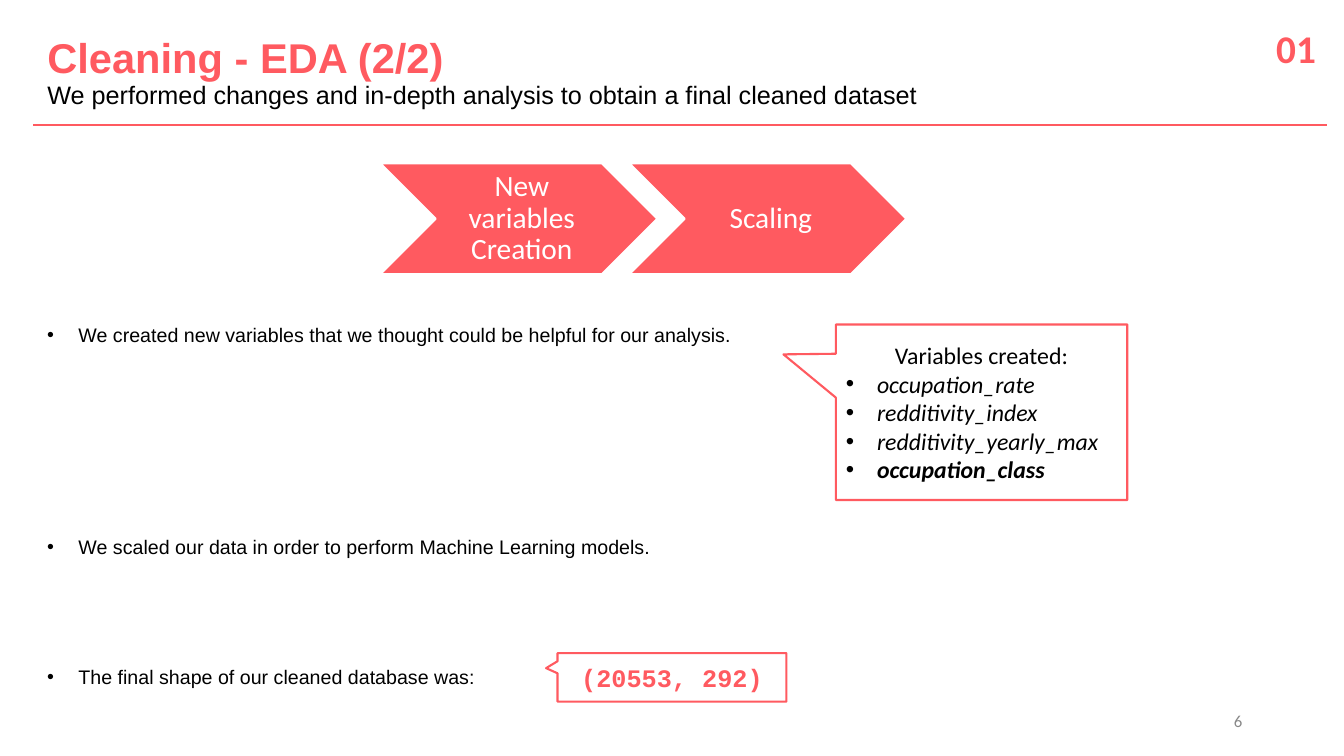
from lxml import etree
from pptx import Presentation
from pptx.dml.color import RGBColor
from pptx.enum.shapes import MSO_CONNECTOR, MSO_SHAPE
from pptx.enum.text import MSO_ANCHOR, MSO_AUTO_SIZE, PP_ALIGN
from pptx.oxml.ns import qn
from pptx.util import Inches, Pt

# Content
TITLE = "Cleaning - EDA (2/2)"
SUBTITLE = "We performed changes and in-depth analysis to obtain a final cleaned dataset"
SECTION = "01"
PAGE = "6"
STEPS = ["New variables Creation", "Scaling"]
FINDINGS = [  # text, space before in points
    ("We created new variables that we thought could be helpful for our analysis.", 0),
    ("We scaled our data in order to perform Machine Learning models.", 135),
    ("The final shape of our cleaned database was:", 76),
]
FINAL_SHAPE = "(20553, 292)"
VARIABLES_HEADING = "Variables created:"
VARIABLES = [  # name, bold
    ("occupation_rate", False),
    ("redditivity_index", False),
    ("redditivity_yearly_max", False),
    ("occupation_class", True),
]

CORAL, BLACK, WHITE, GREY = "FF5A60", "000000", "FFFFFF", "888888"
BULLET_INDENT = Inches(0.31)


def color(hex_code):
    return RGBColor.from_string(hex_code)


def write(frame, text, size=14, font="Calibri", hue=BLACK, bold=False, italic=False,
          align=PP_ALIGN.LEFT, spacing=1.0, before=0, bullet=False, same_paragraph=False):
    """Add text as a new paragraph, or after a line break in the last one."""
    paragraph = frame.paragraphs[-1]
    if same_paragraph:
        paragraph.add_line_break()
    elif paragraph.runs:
        paragraph = frame.add_paragraph()
    paragraph.alignment = align
    paragraph.line_spacing = spacing
    paragraph.space_before = Pt(before)
    if bullet:
        properties = paragraph._p.get_or_add_pPr()
        properties.set("marL", str(BULLET_INDENT))
        properties.set("indent", str(-BULLET_INDENT))
        etree.SubElement(properties, qn("a:buFont")).set("typeface", "Arial")
        etree.SubElement(properties, qn("a:buChar")).set("char", "•")
    run = paragraph.add_run()
    run.text = text
    run.font.size = Pt(size)
    run.font.name = font
    run.font.bold = bold
    run.font.italic = italic
    run.font.color.rgb = color(hue)


def set_frame(shape, anchor, margins=(0.1, 0.05, 0.1, 0.05)):
    frame = shape.text_frame
    frame.word_wrap = True
    frame.auto_size = MSO_AUTO_SIZE.NONE
    frame.vertical_anchor = anchor
    (frame.margin_left, frame.margin_top,
     frame.margin_right, frame.margin_bottom) = map(Inches, margins)
    return frame


def add_box(slide, place, anchor=MSO_ANCHOR.TOP, **kwargs):
    return set_frame(slide.shapes.add_textbox(*map(Inches, place)), anchor, **kwargs)


def add_figure(slide, kind, place, adjustments, fill=None, line=CORAL, **kwargs):
    shape = slide.shapes.add_shape(kind, *map(Inches, place))
    shape.shadow.inherit = False
    for index, value in enumerate(adjustments):
        shape.adjustments[index] = value
    if fill:
        shape.fill.solid()
        shape.fill.fore_color.rgb = color(fill)
    else:
        shape.fill.background()
    shape.line.color.rgb = color(line)
    shape.line.width = Pt(1.5)
    return set_frame(shape, MSO_ANCHOR.MIDDLE, **kwargs)


def main():
    deck = Presentation()
    deck.slide_width, deck.slide_height = Inches(13.33), Inches(7.5)
    slide = deck.slides.add_slide(deck.slide_layouts[5])

    # Header
    title = slide.shapes.title
    title.left, title.top, title.width, title.height = map(Inches, (0.37, 0.38, 12.65, 0.7))
    heading = set_frame(title, MSO_ANCHOR.MIDDLE)
    write(heading, TITLE, size=29.7, font="Arial", hue=CORAL, bold=True, spacing=0.9)
    write(heading, SUBTITLE, size=18, font="Arial", spacing=0.9, same_paragraph=True)

    rule = slide.shapes.add_connector(
        MSO_CONNECTOR.STRAIGHT, *map(Inches, (0.33, 1.24, 13.16, 1.24)))
    rule.line.color.rgb = color(CORAL)
    rule.line.width = Pt(1.5)
    etree.SubElement(rule._element.spPr, qn("a:effectLst"))

    section = add_box(slide, (12.56, 0.19, 0.6, 0.57))
    write(section, SECTION, size=28, hue=CORAL, bold=True)
    page = add_box(slide, (9.42, 6.95, 3, 0.4), MSO_ANCHOR.MIDDLE)
    write(page, PAGE, size=12, hue=GREY, align=PP_ALIGN.RIGHT)

    # Findings
    findings = add_box(slide, (0.37, 3.1, 12.36, 4.09), margins=(0.1, 0.1, 0.1, 0.1))
    for finding, gap in FINDINGS:
        write(findings, finding, font="Arial", before=gap, bullet=True)

    # Callouts
    final_shape = add_figure(slide, MSO_SHAPE.RECTANGULAR_CALLOUT,
                             (5.53, 6.48, 2.27, 0.48), (-0.55, -0.19))
    write(final_shape, FINAL_SHAPE, size=18, font="Courier New", hue=CORAL, bold=True,
          align=PP_ALIGN.CENTER)

    variables = add_figure(slide, MSO_SHAPE.RECTANGULAR_CALLOUT,
                           (8.29, 3.22, 2.89, 1.74), (-0.68, -0.33))
    write(variables, VARIABLES_HEADING, size=17, align=PP_ALIGN.CENTER)
    for variable, bold in VARIABLES:
        write(variables, variable, size=17, bold=bold, italic=True, bullet=True)

    # Process steps
    for index, step in enumerate(STEPS):
        chevron = add_figure(slide, MSO_SHAPE.CHEVRON, (3.77 + 2.47 * index, 1.62, 2.75, 1.1),
                             (0.5,), fill=CORAL, line=WHITE, margins=(0.09, 0.03, 0.03, 0.03))
        write(chevron, step, size=21, hue=WHITE, align=PP_ALIGN.CENTER, spacing=0.9)

    deck.save("out.pptx")


if __name__ == "__main__":
    main()
